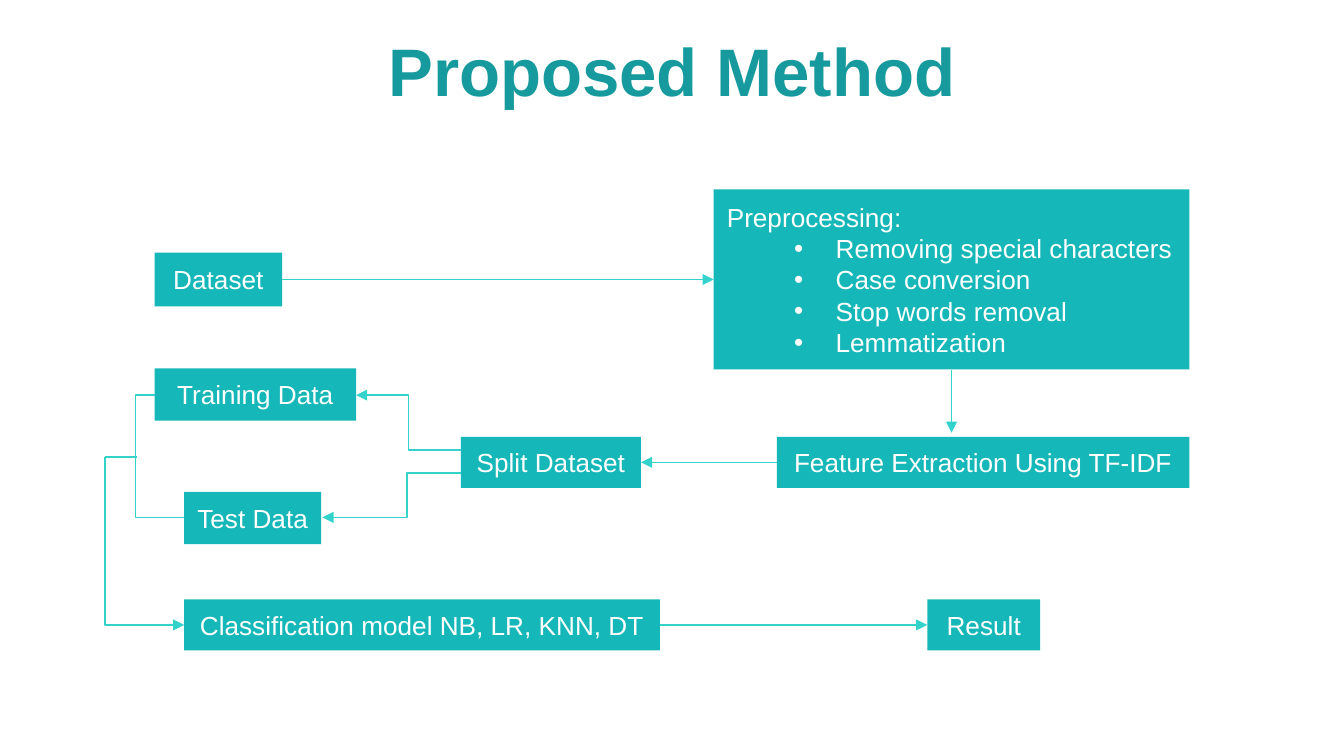
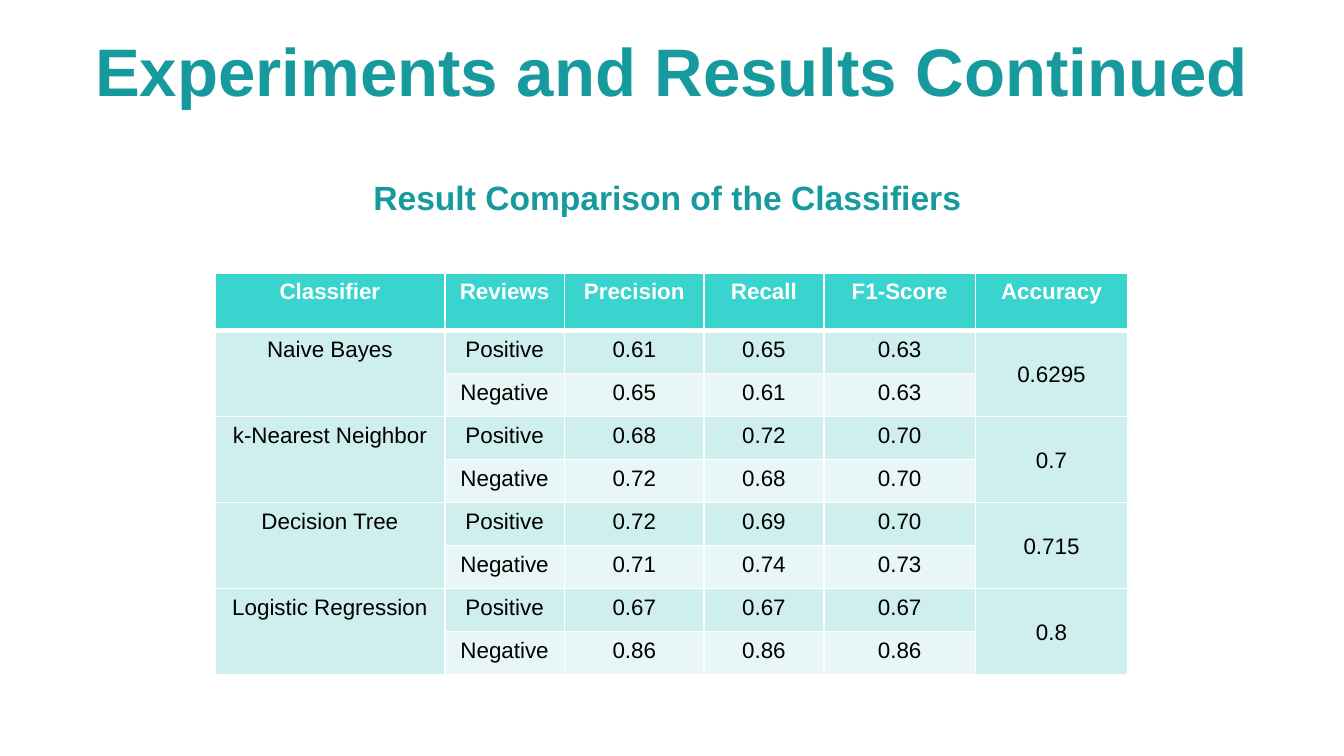
from dataclasses import dataclass
from typing import Optional

from lxml.etree import SubElement
from pptx import Presentation
from pptx.dml.color import RGBColor
from pptx.enum.shapes import MSO_CONNECTOR as Route, MSO_SHAPE as Preset
from pptx.enum.text import MSO_ANCHOR as Anchor, MSO_AUTO_SIZE as AutoSize, PP_ALIGN as Align
from pptx.oxml.ns import qn
from pptx.util import Inches, Pt

FONT = "Arial"
COLORS = {
    "title": "179A9D",
    "box": "16B7B8",
    "arrow": "33D3CC",
    "header": "38D4CD",
    "positive": "CEEFED",
    "negative": "E8F7F6",
    "white": "FFFFFF",
    "black": "000000",
}


@dataclass(frozen=True)
class Step:
    text: str
    left: float
    top: float
    width: float
    height: float = 0.39
    bullets: tuple[str, ...] = ()


@dataclass(frozen=True)
class Link:
    """A line between two points; via_x makes it an elbow turning at that x."""
    start: tuple[float, float]
    end: tuple[float, float]
    via_x: Optional[float] = None
    arrow: bool = True
    source: Optional[tuple[str, int]] = None
    target: Optional[tuple[str, int]] = None


@dataclass(frozen=True)
class Classifier:
    name: str
    positive: tuple[str, ...]
    negative: tuple[str, ...]
    accuracy: str


STEPS = {
    "dataset": Step("Dataset", 1.15, 1.88, 0.95, 0.4),
    "preprocessing": Step(
        "Preprocessing:", 5.31, 1.41, 3.54, 1.34,
        ("Removing special characters", "Case conversion", "Stop words removal", "Lemmatization")),
    "features": Step("Feature Extraction Using TF-IDF", 5.78, 3.25, 3.07, 0.38),
    "split": Step("Split Dataset", 3.43, 3.25, 1.34, 0.38),
    "test": Step("Test Data", 1.37, 3.66, 1.02),
    "training": Step("Training Data", 1.15, 2.74, 1.5),
    "model": Step("Classification model NB, LR, KNN, DT", 1.37, 4.46, 3.54, 0.38),
    "result": Step("Result", 6.9, 4.46, 0.84, 0.38),
}
LINKS = (
    Link((2.1, 2.08), (5.31, 2.08), source=("dataset", 3), target=("preprocessing", 1)),
    Link((7.08, 2.75), (7.08, 3.22), source=("preprocessing", 2)),
    Link((5.78, 3.44), (4.77, 3.44), source=("features", 1), target=("split", 3)),
    Link((3.43, 3.35), (2.65, 2.94), via_x=3.04),
    Link((3.43, 3.52), (2.4, 3.85), via_x=3.03),
    Link((1.15, 2.94), (1.37, 3.85), via_x=1.01, arrow=False),
    Link((0.78, 3.4), (1.37, 4.65), via_x=0.78),
    Link((0.78, 3.4), (1.02, 3.4), arrow=False),
    Link((4.91, 4.65), (6.9, 4.65), source=("model", 3), target=("result", 1)),
)

HEADINGS = ("Classifier", "Reviews", "Precision", "Recall", "F1-Score", "Accuracy")
COLUMN_WIDTHS = (1.71, 0.89, 1.04, 0.89, 1.13, 1.13)
HEADER_HEIGHT, ROW_HEIGHT = 0.43, 0.32
CLASSIFIERS = (
    Classifier("Naive Bayes", ("0.61", "0.65", "0.63"), ("0.65", "0.61", "0.63"), "0.6295"),
    Classifier("k-Nearest Neighbor", ("0.68", "0.72", "0.70"), ("0.72", "0.68", "0.70"), "0.7"),
    Classifier("Decision Tree", ("0.72", "0.69", "0.70"), ("0.71", "0.74", "0.73"), "0.715"),
    Classifier("Logistic Regression", ("0.67", "0.67", "0.67"), ("0.86", "0.86", "0.86"), "0.8"),
)


def rgb(name: str) -> RGBColor:
    return RGBColor.from_string(COLORS[name])


def write(paragraph, text: str, *, size: float = 14, color: str = "white",
          bold: bool = False, align=Align.CENTER) -> None:
    paragraph.alignment = align
    run = paragraph.add_run()
    run.text = text
    font = run.font
    font.name, font.size, font.bold = FONT, Pt(size), bold
    font.color.rgb = rgb(color)


def add_titled_slide(deck, title: str):
    slide = deck.slides.add_slide(deck.slide_layouts.get_by_name("Title Only"))
    heading = slide.shapes.title
    heading.left, heading.top = Inches(0), Inches(0.2)
    heading.width, heading.height = Inches(10), Inches(0.63)
    frame = heading.text_frame
    frame.auto_size = AutoSize.NONE
    frame.vertical_anchor = Anchor.MIDDLE
    frame.paragraphs[0].space_before = Pt(2)
    write(frame.paragraphs[0], title, size=36, color="title", bold=True)
    return slide


def add_bullet(frame, text: str) -> None:
    paragraph = frame.add_paragraph()
    paragraph.level = 1
    write(paragraph, text, align=Align.LEFT)
    properties = paragraph._p.get_or_add_pPr()
    properties.set("marL", str(Inches(0.81)))
    properties.set("indent", str(Inches(-0.31)))
    SubElement(properties, qn("a:buFont"), typeface=FONT)
    SubElement(properties, qn("a:buChar"), char="•")


def add_step(slide, step: Step):
    box = slide.shapes.add_shape(
        Preset.RECTANGLE, *map(Inches, (step.left, step.top, step.width, step.height)))
    box.shadow.inherit = False
    box.fill.solid()
    box.fill.fore_color.rgb = rgb("box")
    box.line.fill.background()
    frame = box.text_frame
    frame.vertical_anchor = Anchor.MIDDLE
    frame.word_wrap = bool(step.bullets)
    write(frame.paragraphs[0], step.text, align=Align.LEFT if step.bullets else Align.CENTER)
    for bullet in step.bullets:
        add_bullet(frame, bullet)
    return box


def add_link(slide, link: Link, boxes: dict) -> None:
    route = Route.STRAIGHT if link.via_x is None else Route.ELBOW
    connector = slide.shapes.add_connector(route, *map(Inches, link.start + link.end))
    if link.source:
        name, side = link.source
        connector.begin_connect(boxes[name], side)
    if link.target:
        name, side = link.target
        connector.end_connect(boxes[name], side)
    connector.line.color.rgb = rgb("arrow")
    connector.line.width = Pt(0.75)
    properties = connector._element.spPr
    if link.via_x is not None:
        turn = (link.via_x - link.start[0]) / (link.end[0] - link.start[0])
        adjustments = properties.find(qn("a:prstGeom")).get_or_add_avLst()
        SubElement(adjustments, qn("a:gd"), name="adj1", fmla=f"val {round(turn * 100000)}")
    if link.arrow:
        SubElement(properties.find(qn("a:ln")), qn("a:tailEnd"), type="triangle")
    SubElement(properties, qn("a:effectLst"))


def format_cell(cell, fill: str, top: float = 1, bottom: float = 1) -> None:
    """Give the cell white borders, in points, and a fill."""
    properties = cell._tc.get_or_add_tcPr()
    for side, width in (("L", 1), ("R", 1), ("T", top), ("B", bottom)):
        border = SubElement(properties, qn(f"a:ln{side}"), w=str(Pt(width)))
        solid = SubElement(border, qn("a:solidFill"))
        SubElement(solid, qn("a:srgbClr"), val=COLORS["white"])
    cell.fill.solid()
    cell.fill.fore_color.rgb = rgb(fill)


def add_results_table(slide) -> None:
    row_count = 1 + 2 * len(CLASSIFIERS)
    table = slide.shapes.add_table(
        row_count, len(HEADINGS), Inches(1.6), Inches(2.03), Inches(sum(COLUMN_WIDTHS)),
        Inches(HEADER_HEIGHT + ROW_HEIGHT * (row_count - 1))).table
    for column, width in zip(table.columns, COLUMN_WIDTHS):
        column.width = Inches(width)
    for index, row in enumerate(table.rows):
        row.height = Inches(ROW_HEIGHT if index else HEADER_HEIGHT)

    for column, heading in enumerate(HEADINGS):
        cell = table.cell(0, column)
        format_cell(cell, "header", bottom=3)
        write(cell.text_frame.paragraphs[0], heading, size=12, bold=True)

    last = len(HEADINGS) - 1
    for index, classifier in enumerate(CLASSIFIERS):
        first = 1 + 2 * index
        rows = (
            ("positive", (classifier.name, "Positive", *classifier.positive, classifier.accuracy)),
            ("negative", ("", "Negative", *classifier.negative, "")),
        )
        for row, (tone, texts) in enumerate(rows, first):
            for column, text in enumerate(texts):
                cell = table.cell(row, column)
                format_cell(cell, "positive" if column in (0, last) else tone,
                            top=3 if row == 1 else 1)
                if text:
                    write(cell.text_frame.paragraphs[0], text, size=12, color="black")
        for column in (0, last):
            table.cell(first, column).merge(table.cell(first + 1, column))
        table.cell(first, last).text_frame.paragraphs[0].line_spacing = 2.0


def build_method_slide(deck) -> None:
    slide = add_titled_slide(deck, "Proposed Method")
    boxes = {name: add_step(slide, step) for name, step in STEPS.items()}
    for link in LINKS:
        add_link(slide, link, boxes)


def build_results_slide(deck) -> None:
    slide = add_titled_slide(deck, "Experiments and Results Continued")
    caption = slide.shapes.add_textbox(*map(Inches, (2.68, 1.27, 4.65, 0.4))).text_frame
    caption.word_wrap = True
    caption.auto_size = AutoSize.SHAPE_TO_FIT_TEXT
    write(caption.paragraphs[0], "Result Comparison of the Classifiers",
          size=18, color="title", bold=True, align=Align.JUSTIFY)
    add_results_table(slide)


def main() -> None:
    deck = Presentation()
    deck.slide_width = Inches(10)
    deck.slide_height = deck.slide_width * 9 // 16
    build_method_slide(deck)
    build_results_slide(deck)
    deck.save("out.pptx")


if __name__ == "__main__":
    main()
